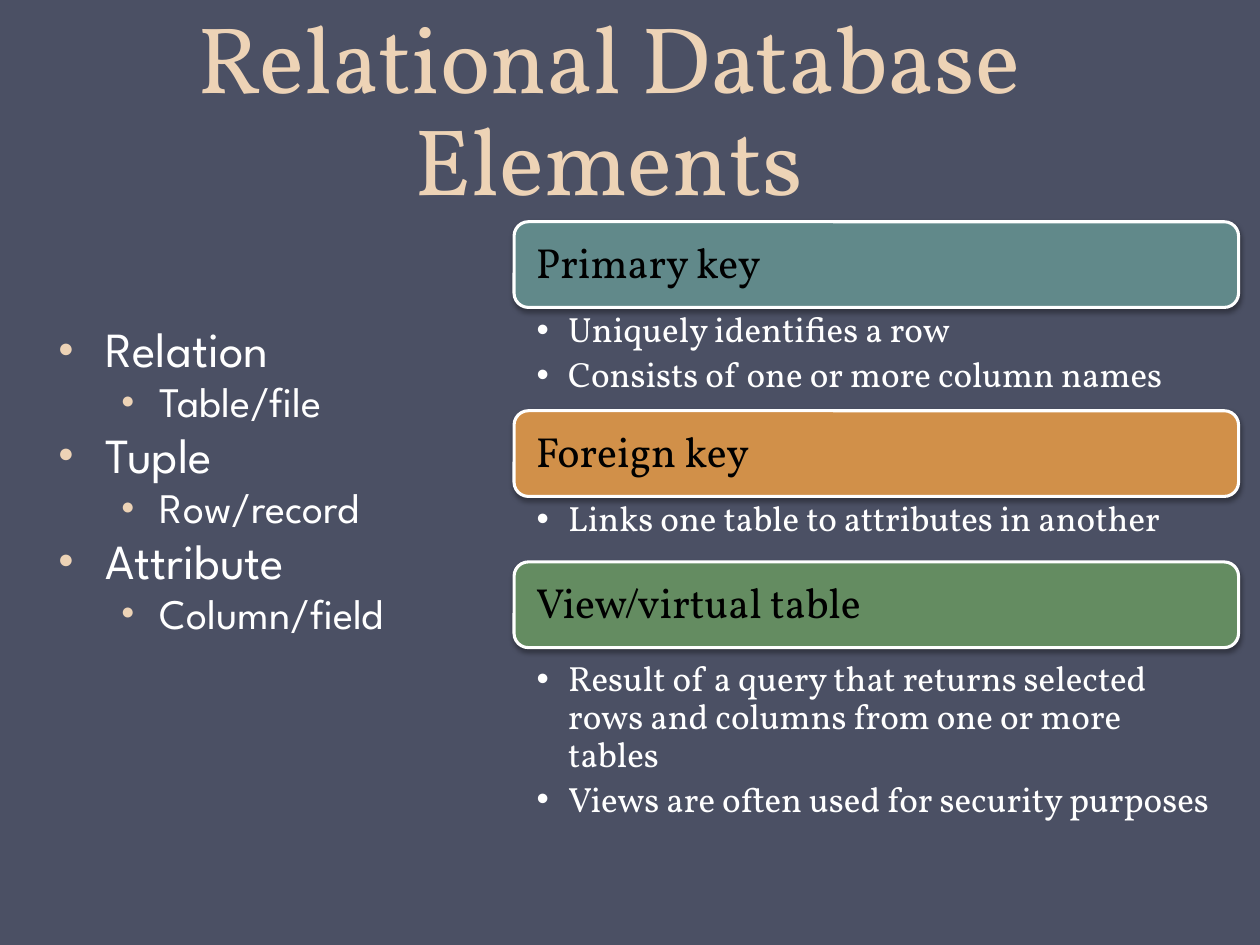
from lxml import etree
from pptx import Presentation
from pptx import util as u
from pptx.dml.color import RGBColor
from pptx.enum import shapes, text
from pptx.oxml import parse_xml
from pptx.oxml.ns import nsdecls, qn

COLORS = {
    "background": "4B5064", "accent": "EDD3B6", "white": "FFFFFF",
    "black": "000000", "teal": "61898A", "orange": "D19049", "green": "648C61",
}
SERIF, SANS = "Vollkorn", "League Spartan"
TERMS = [("Relation", "Table/file"), ("Tuple", "Row/record"), ("Attribute", "Column/field")]
KEYS = [
    ("Primary key", "teal", 1.76, 2.45, 0.81,
     ["Uniquely identifies a row", "Consists of one or more column names"]),
    ("Foreign key", "orange", 3.26, 3.95, 0.81,
     ["Links one table to attributes in another"]),
    ("View/virtual table", "green", 4.46, 5.22, 1.83,
     ["Result of a query that returns selected rows and columns from one or more tables",
      "Views are often used for security purposes"]),
]


def rgb(name):
    """Return the named colour."""
    return RGBColor.from_string(COLORS[name])


def assign(obj, **values):
    """Set each attribute of an object from the given values."""
    for name, value in values.items():
        setattr(obj, name, value)


def place(sp, box):
    """Move a shape to a box of left, top, width and height in inches."""
    for name, value in zip(("left", "top", "width", "height"), box):
        setattr(sp, name, u.Inches(value))


def set_frame(tf, anchor, insets):
    """Set the wrapping, anchor and insets of a text frame."""
    assign(tf, word_wrap=True, auto_size=text.MSO_AUTO_SIZE.NONE, vertical_anchor=anchor)
    for side, value in zip(("left", "top", "right", "bottom"), insets):
        setattr(tf, f"margin_{side}", u.Inches(value))


def write(p, words, font, size, color, **layout):
    """Write one paragraph with its font and layout."""
    assign(p, **layout)
    r = p.add_run()
    r.text = words
    assign(r.font, name=font, size=u.Pt(size))
    r.font.color.rgb = rgb(color)


def add_bullet(p, char, color, percent, margin, hang):
    """Give a paragraph a hanging bullet."""
    pPr = p._p.get_or_add_pPr()
    pPr.set("marL", str(u.Inches(margin)))
    pPr.set("indent", str(-u.Inches(hang)))
    clr = etree.SubElement(pPr, qn("a:buClr"))
    etree.SubElement(clr, qn("a:srgbClr"), val=COLORS[color])
    etree.SubElement(pPr, qn("a:buSzPct"), val=str(percent * 1000))
    etree.SubElement(pPr, qn("a:buFont"), typeface="Arial")
    etree.SubElement(pPr, qn("a:buChar"), char=char)


def add_shadow(sp):
    """Give a shape a soft shadow below it."""
    sp._element.spPr.append(parse_xml(
        f'<a:effectLst {nsdecls("a")}><a:outerShdw blurRad="{u.Pt(3.1)}" dist="{u.Pt(1.8)}" '
        f'dir="5400000" rotWithShape="0"><a:srgbClr val="{COLORS["black"]}">'
        '<a:alpha val="35000"/></a:srgbClr></a:outerShdw></a:effectLst>'))


def fill_title(sp, box):
    """Place and write the slide title."""
    place(sp, box)
    set_frame(sp.text_frame, text.MSO_ANCHOR.BOTTOM, (0.1, 0.05, 0.1, 0.05))
    write(sp.text_frame.paragraphs[0], "Relational Database Elements", SERIF, 54, "accent",
          alignment=text.PP_ALIGN.CENTER, line_spacing=u.Pt(58))


def fill_terms(sp, box):
    """Place the list of terms, each with its synonym below it."""
    place(sp, box)
    tf = sp.text_frame
    set_frame(tf, text.MSO_ANCHOR.TOP, (0.1, 0.05, 0.1, 0.05))
    levels = [(28, 0.38, 0.38), (24, 0.81, 0.31)]
    lines = [(words, level) for pair in TERMS for level, words in enumerate(pair)]
    for i, (words, level) in enumerate(lines):
        size, margin, hang = levels[level]
        p = tf.add_paragraph() if i else tf.paragraphs[0]
        add_bullet(p, "●", "accent", 55, margin, hang)
        write(p, words, SANS, size, "white", level=level, line_spacing=0.8,
              space_before=u.Pt(size * 0.2 if i else 0), alignment=text.PP_ALIGN.LEFT)


def add_header(s, box, words, color):
    """Add a rounded header bar."""
    sp = s.shapes.add_shape(shapes.MSO_SHAPE.ROUNDED_RECTANGLE, *map(u.Inches, box))
    sp.fill.solid()
    sp.fill.fore_color.rgb = rgb(color)
    sp.line.color.rgb = rgb("white")
    sp.line.width = u.Pt(1.75)
    add_shadow(sp)
    set_frame(sp.text_frame, text.MSO_ANCHOR.MIDDLE, (0.14, 0.1, 0.14, 0.1))
    write(sp.text_frame.paragraphs[0], words, SERIF, 24, "black",
          alignment=text.PP_ALIGN.LEFT, line_spacing=0.9)


def add_details(s, box, lines):
    """Add the bulleted details below a header."""
    tf = s.shapes.add_textbox(*map(u.Inches, box)).text_frame
    set_frame(tf, text.MSO_ANCHOR.TOP, (0.18, 0.03, 0.16, 0.03))
    for i, words in enumerate(lines):
        p = tf.add_paragraph() if i else tf.paragraphs[0]
        add_bullet(p, "•", "white", 100, 0.25, 0.25)
        write(p, words, SERIF, 20, "white", level=1, line_spacing=0.9, space_after=u.Pt(4))


def add_keys(s, left, width):
    """Add the column of headers with their details."""
    for words, color, top, detail_top, detail_height, lines in KEYS:
        add_details(s, (left, detail_top, width, detail_height), lines)
        add_header(s, (left, top, width, 0.68), words, color)


def main():
    """Build and save the slide."""
    prs = Presentation()
    assign(prs, slide_width=u.Inches(10), slide_height=u.Inches(7.5))
    s = prs.slides.add_slide(prs.slide_layouts[1])
    s.background.fill.solid()
    s.background.fill.fore_color.rgb = rgb("background")
    fill_title(s.shapes.title, (0.33, 0, 9, 1.75))
    fill_terms(s.placeholders[1], (0.36, 2.57, 4.08, 2.56))
    add_keys(s, 4.08, 5.75)
    prs.save("out.pptx")


if __name__ == "__main__":
    main()
